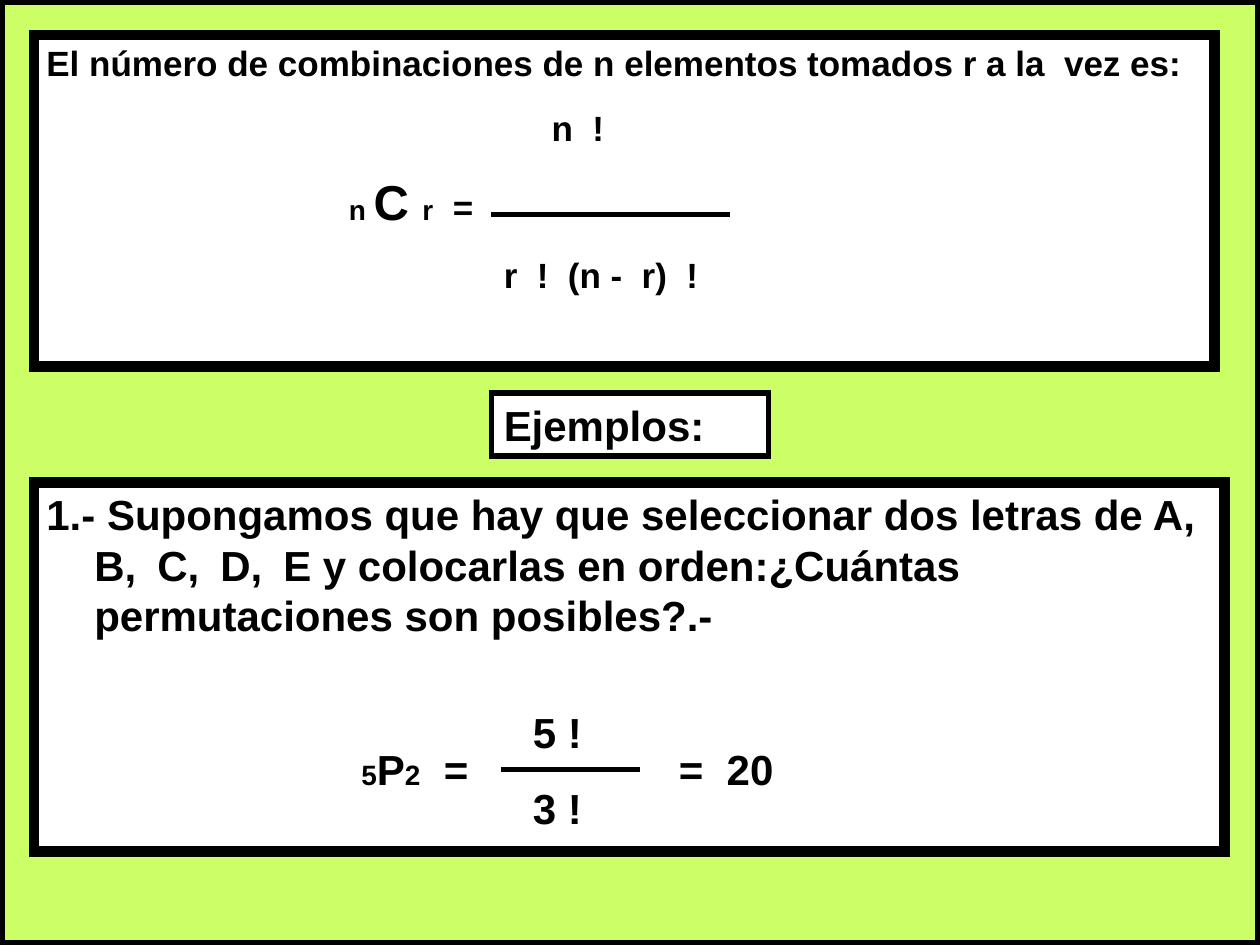
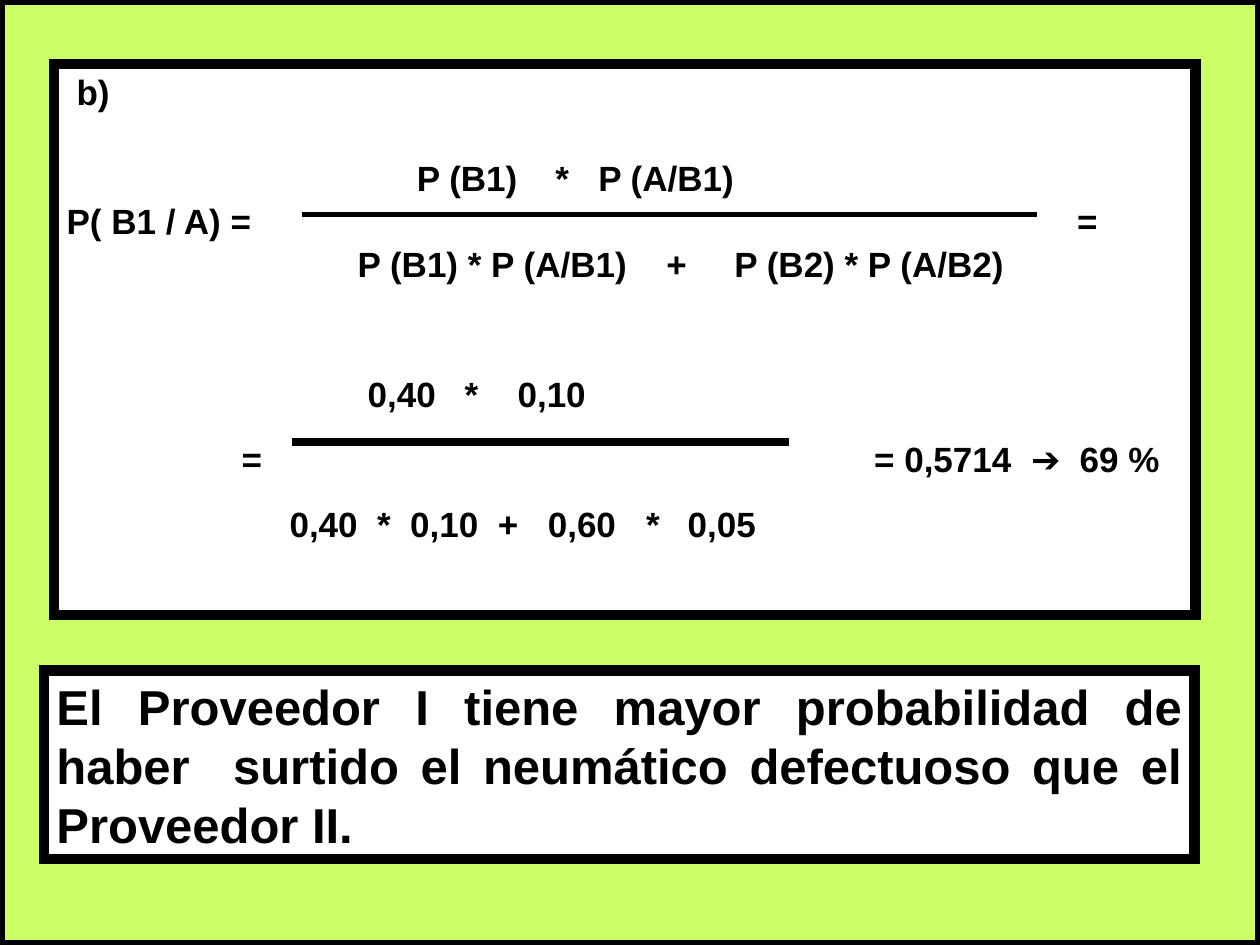
from dataclasses import dataclass

from lxml import etree
from pptx import Presentation
from pptx.dml.color import RGBColor
from pptx.enum import shapes, text
from pptx.oxml import ns
from pptx.util import Inches, Pt


@dataclass(frozen=True)
class Theme:
    lime: RGBColor = RGBColor(0xCC, 0xFF, 0x66)
    white: RGBColor = RGBColor(255, 255, 255)
    black: RGBColor = RGBColor(0, 0, 0)
    font: str = "Arial"
    index: int = 16
    formula: int = 20
    body: int = 24
    big: int = 28
    thick: float = 6
    thin: float = 3
    gap: float = 12.8


T = Theme()
LEFT, JUSTIFY = text.PP_ALIGN.LEFT, text.PP_ALIGN.JUSTIFY


def add_box(s, at, fill=None, line=None):
    at = [Inches(v) for v in at]
    if fill is None:
        sp = s.shapes.add_textbox(*at)
    else:
        sp = s.shapes.add_shape(shapes.MSO_SHAPE.RECTANGLE, *at)
        sp.shadow.inherit = False
        sp.fill.solid()
        sp.fill.fore_color.rgb = fill
        sp.line.color.rgb = T.black
        sp.line.width = Pt(line)
        ln = sp._element.spPr.find(ns.qn("a:ln"))
        etree.SubElement(ln, ns.qn("a:miter"), lim="800000")
    tf = sp.text_frame
    tf.word_wrap = True
    tf.vertical_anchor = text.MSO_ANCHOR.TOP
    return tf


def write(tf, content, size=T.formula, align=LEFT, before=0.3, tabs=(), hang=0):
    first = tf.paragraphs[0]
    p = tf.add_paragraph() if first.runs else first
    p.alignment = align
    p.space_before = Pt(before if p is not first else 0)
    p.space_after = Pt(0.3)
    pPr = p._p.get_or_add_pPr()
    if hang:
        pPr.set("marL", str(Inches(hang)))
        pPr.set("indent", str(Inches(-hang)))
    if tabs:
        tab_list = etree.SubElement(pPr, ns.qn("a:tabLst"))
        for pos in tabs:
            etree.SubElement(tab_list, ns.qn("a:tab"), pos=str(Inches(pos)), algn="l")
    for piece, piece_size in [(content, size)] if isinstance(content, str) else content:
        r = p.add_run()
        r.text = piece
        r.font.name = T.font
        r.font.size = Pt(piece_size)
        r.font.bold = True
        r.font.color.rgb = T.black


prs = Presentation()
prs.slide_width, prs.slide_height = Inches(10), Inches(7.5)
slides = [prs.slides.add_slide(prs.slide_layouts[6]) for _ in range(2)]
for s in slides:
    add_box(s, (0, 0, 10, 7.5), T.lime, T.thick)
examples, bayes = slides

tf = add_box(examples, (0.27, 0.28, 9.37, 2.63), T.white, T.thick)
write(tf, "El número de combinaciones de n elementos tomados r a la  vez es:")
combination = [("\tn ", T.index), ("C ", T.big), ("r", T.index), ("  =", T.formula)]
for content, tab in (("\tn  !", 4.01), (combination, 2.4), ("\tr  !  (n -  r)  !", 3.63)):
    write(tf, content, before=T.gap, tabs=[tab])

tf = add_box(examples, (3.9, 3.12, 2.2, 0.5), T.white, T.thin)
write(tf, "Ejemplos:", T.body, JUSTIFY)

tf = add_box(examples, (0.27, 3.83, 9.45, 2.93), T.white, T.thick)
write(tf, "1.- Supongamos que hay que seleccionar dos letras de A, B,\tC,\tD,\tE y colocarlas "
      "en orden:¿Cuántas permutaciones son posibles?.-",
      T.body, tabs=(1.2, 2.2, 3.38), hang=0.38)
permutation = [("\t5", T.index), ("P", T.body), ("2", T.index), ("  =\t=  20", T.body)]
write(tf, permutation, before=59, tabs=(2.5, 5.02))
for term, top in (("5 !", 5.56), ("3 !", 6.16)):
    write(add_box(examples, (4.13, top, 0.79, 0.5)), term, T.body)

tf = add_box(bayes, (0.43, 0.51, 9.06, 4.37), T.white, T.thick)
for content, before, tabs in (
    ("\tb)", 0, [0.08]),
    ("\tP (B1)\t*\tP (A/B1)", 24.8, [2.78, 3.88, 4.22]),
    ("P( B1 / A) =\t=", 0.3, [8.02]),
    ("\tP (B1) * P (A/B1)\t+\tP (B2) * P (A/B2)", 0.3, [2.31, 4.76, 5.3]),
    ("\t0,40\t*\t0,10", 49.8, [2.39, 3.16, 3.58]),
    ("\t=\t= 0,5714  ➔  69 %", T.gap, [1.39, 6.41]),
    ("\t0,40  *  0,10  +\t0,60\t*\t0,05", T.gap, [1.77, 3.82, 4.6, 4.93]),
):
    write(tf, content, before=before, tabs=tabs)

tf = add_box(bayes, (0.35, 5.32, 9.13, 1.5), T.white, T.thick)
write(tf, "El Proveedor I tiene mayor probabilidad de haber  surtido el neumático defectuoso "
      "que el Proveedor II.", T.big, JUSTIFY)

for s, x1, x2, y, width in (
    (examples, 3.9, 5.79, 1.7, T.thin),
    (examples, 3.98, 5.08, 6.11, T.thin),
    (bayes, 2.4, 8.23, 1.7, T.thin),
    (bayes, 2.32, 6.26, 3.51, 4.5),
):
    bar = s.shapes.add_connector(shapes.MSO_CONNECTOR.STRAIGHT,
                                 Inches(x1), Inches(y), Inches(x2), Inches(y))
    bar.line.color.rgb = T.black
    bar.line.width = Pt(width)
    etree.SubElement(bar._element.spPr, ns.qn("a:effectLst"))

prs.save("out.pptx")
